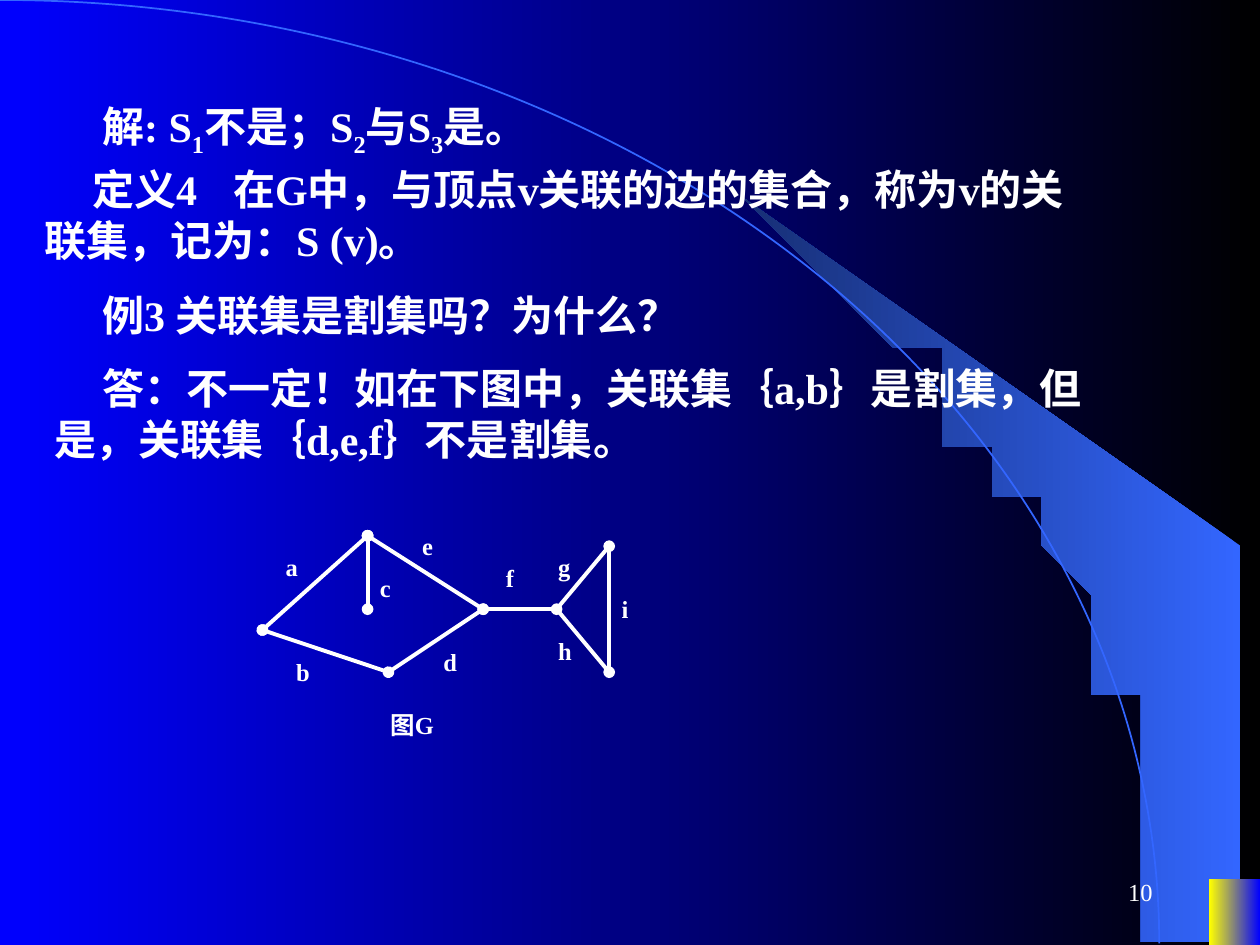
"""Build a graph theory slide on incidence sets and cut sets."""
from dataclasses import dataclass
from math import cos, radians, sin

from lxml.etree import SubElement
from pptx import Presentation
from pptx.dml.color import RGBColor as Rgb
from pptx.enum.shapes import MSO_CONNECTOR as Connector, MSO_SHAPE as Shape
from pptx.enum.text import MSO_ANCHOR as Anchor, MSO_AUTO_SIZE as AutoSize, PP_ALIGN as Align
from pptx.oxml.ns import qn
from pptx.util import Cm, Pt


@dataclass(frozen=True)
class Theme:
    """Colours, type sizes and line widths."""
    font: str = "Times New Roman"
    white: str = "FFFFFF"
    black: str = "000000"
    blue: str = "0000FF"
    sky: str = "3366FF"
    navy: str = "172F75"
    yellow: str = "FFFF00"
    body: int = 24
    label: int = 14
    edge: float = 2.25
    rim: float = 1


class SlideBuilder:
    """Hold the theme and the current slide, and add elements to it."""

    def __init__(self, slide, theme):
        self.slide = slide
        self.theme = theme

    def gradient(self, fill, first, last):
        """Fill with a gradient that runs from right to left."""
        fill.gradient()
        fill.gradient_angle = 180
        for stop, color in zip(fill.gradient_stops, (first, last)):
            stop.color.rgb = Rgb.from_string(color)

    def finish(self, shape, first, last):
        """Give a shape a gradient and no outline or shadow."""
        shape.shadow.inherit = False
        self.gradient(shape.fill, first, last)
        shape.line.fill.background()

    def block(self, left, top, width, height, first, last):
        """Add a gradient rectangle."""
        box = self.slide.shapes.add_shape(
            Shape.RECTANGLE, Cm(left), Cm(top), Cm(width), Cm(height))
        self.finish(box, first, last)

    def outline(self, points, first, last):
        """Add a closed gradient polygon."""
        builder = self.slide.shapes.build_freeform(*points[0], scale=Cm(1))
        builder.add_line_segments(points[1:], close=True)
        self.finish(builder.convert_to_shape(), first, last)

    def arc(self, radius_x, radius_y, color, width):
        """Add the upper right quarter of an ellipse centred on the left edge."""
        arc = self.slide.shapes.add_shape(
            Shape.ARC, Cm(-radius_x), Cm(0), Cm(2 * radius_x), Cm(2 * radius_y))
        arc.shadow.inherit = False
        arc.fill.background()
        arc.line.color.rgb = Rgb.from_string(color)
        arc.line.width = Pt(width)

    def edge(self, start, end, dotted):
        """Add a graph edge, with round vertices at its ends if dotted."""
        line = self.slide.shapes.add_connector(
            Connector.STRAIGHT, *(Cm(value) for value in start + end))
        line.line.color.rgb = Rgb.from_string(self.theme.white)
        line.line.width = Pt(self.theme.edge)
        if dotted:
            for tag in ("a:headEnd", "a:tailEnd"):
                SubElement(line.line._get_or_add_ln(), qn(tag), type="oval")
        SubElement(line._element.spPr, qn("a:effectLst"))

    def text(self, place, spans, size, bold=True, indent=0, tab=None, **formats):
        """Add a text box of one paragraph; every second span is a subscript."""
        box = self.slide.shapes.add_textbox(*(Cm(value) for value in place))
        frame = box.text_frame
        frame_formats = {"word_wrap": True, "auto_size": AutoSize.SHAPE_TO_FIT_TEXT,
                         "vertical_anchor": Anchor.TOP} | formats
        align = frame_formats.pop("align", Align.LEFT)
        for name, value in frame_formats.items():
            setattr(frame, name, value)
        para = frame.paragraphs[0]
        para.alignment = align
        properties = para._p.get_or_add_pPr()
        if indent:
            properties.set("indent", str(Cm(indent)))
        if tab:
            tabs = SubElement(properties, qn("a:tabLst"))
            SubElement(tabs, qn("a:tab"), pos=str(Cm(tab)), algn="l")
        font_formats = {"name": self.theme.font, "size": Pt(size), "bold": bold}
        for index, words in enumerate(spans):
            span = para.add_run()
            span.text = words
            for name, value in font_formats.items():
                setattr(span.font, name, value)
            span.font.color.rgb = Rgb.from_string(self.theme.white)
            if index % 2:
                span._r.get_or_add_rPr().set("baseline", "-25000")


RADIUS_X, RADIUS_Y = 23.37, 19.02

STATEMENTS = [
    (0.84, 1.91, 1.42, ["解: S", "1", "不是；S", "2", "与S", "3", "是。"], None),
    (0.64, 3.18, 2.29, ["定义4\t在G中，与顶点v关联的边的集合，称为v的关联集，记为：S (v)。"], 3.89),
    (0.84, 5.72, 1.27, ["例3 关联集是割集吗？为什么？"], None),
    (0.84, 7.19, 2.29, ["答：不一定！如在下图中，关联集｛a,b｝是割集，但是，关联集｛d,e,f｝不是割集。"], None),
]

VERTICES = {
    "top": (7.41, 10.8), "left": (5.29, 12.7), "bottom": (7.83, 13.55),
    "inner": (7.41, 12.28), "right": (9.74, 12.28), "hub": (11.22, 12.28),
    "upper": (12.28, 11.01), "lower": (12.28, 13.55),
}

EDGES = [
    ("a", "top", "left", True, (5.51, 11)),
    ("e", "top", "right", True, (8.26, 10.58)),
    ("b", "left", "bottom", True, (5.72, 13.12)),
    ("d", "right", "bottom", False, (8.69, 12.91)),
    ("c", "top", "inner", True, (7.41, 11.43)),
    ("f", "right", "hub", True, (9.95, 11.22)),
    ("g", "hub", "upper", False, (11, 11)),
    ("i", "upper", "lower", True, (12.28, 11.85)),
    ("h", "hub", "lower", False, (11, 12.7)),
]


def fan_points():
    """Return the corners of the fan that lies against the arc."""
    steps = 24
    angles = [radians(39.8 + 50.2 * step / steps) for step in range(steps + 1)]
    rim = [(RADIUS_X * sin(angle), RADIUS_Y * (1 - cos(angle))) for angle in angles]
    return rim + [(25.37, RADIUS_Y), (25.37, 10.74)]


def main():
    """Compose the slide and save the deck."""
    theme = Theme()
    deck = Presentation()
    deck.slide_width, deck.slide_height = Cm(25.4), Cm(19.05)
    page = SlideBuilder(deck.slides.add_slide(deck.slide_layouts[6]), theme)

    page.gradient(page.slide.background.fill, theme.black, theme.blue)
    page.outline(fan_points(), theme.sky, theme.navy)
    page.arc(RADIUS_X, RADIUS_Y, theme.sky, theme.rim)
    page.block(24.38, 17.73, 1.02, 1.32, theme.blue, theme.yellow)

    for left, top, height, spans, tab in STATEMENTS:
        page.text((left, top, 21.39, height), spans, theme.body, indent=0.97, tab=tab)

    for name, start, end, dotted, corner in EDGES:
        page.edge(VERTICES[start], VERTICES[end], dotted)
        page.text((*corner, 1.09, 0.86), [name], theme.label)
    page.text((7.62, 14.18, 1.96, 0.86), ["图G"], theme.label)

    page.text((18.21, 17.35, 5.28, 1.27), ["10"], theme.label, bold=False,
              align=Align.RIGHT, vertical_anchor=Anchor.MIDDLE, auto_size=AutoSize.NONE)
    deck.save("out.pptx")


if __name__ == "__main__":
    main()
